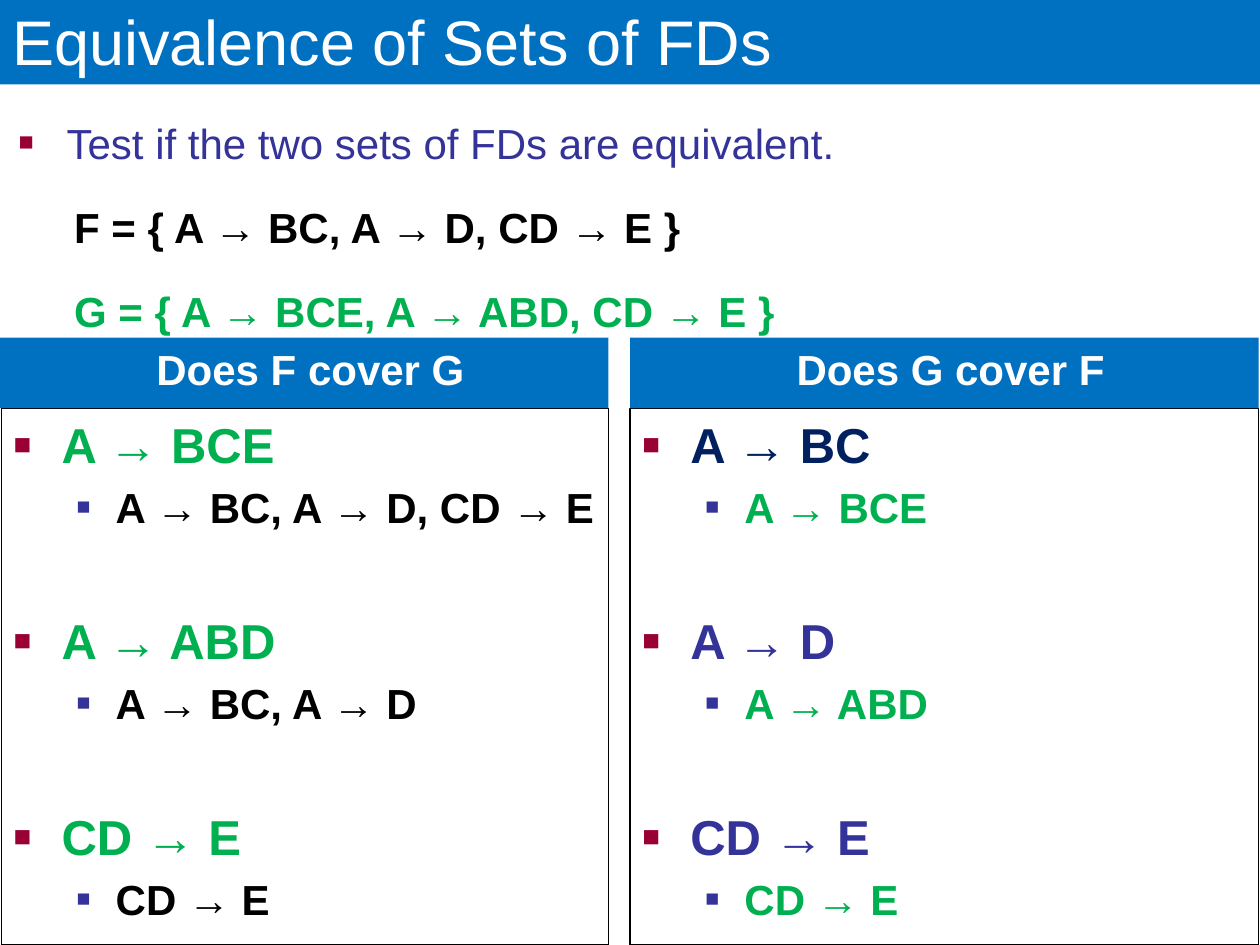
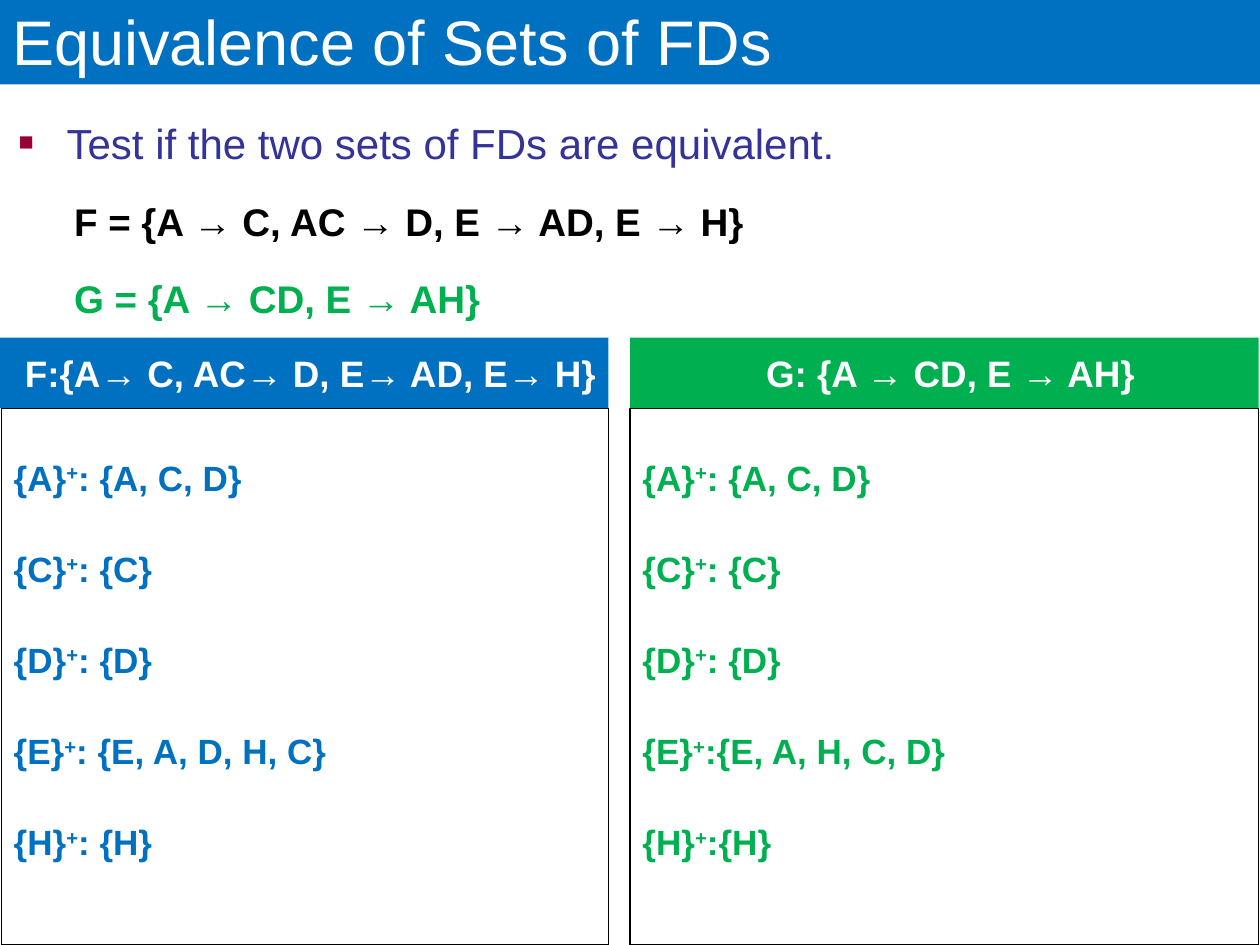
from dataclasses import dataclass

from lxml import etree
from pptx import Presentation
from pptx.dml.color import RGBColor
from pptx.enum.shapes import MSO_SHAPE as Preset
from pptx.enum.text import MSO_ANCHOR as Anchor, PP_ALIGN as Align
from pptx.oxml.ns import qn
from pptx.util import Inches, Pt

BLUE = RGBColor(0x00, 0x70, 0xC0)
GREEN = RGBColor(0x00, 0xB0, 0x50)
INDIGO = RGBColor(0x33, 0x33, 0x99)
NAVY = RGBColor(0x00, 0x20, 0x60)
CRIMSON = RGBColor(0x99, 0x00, 0x33)
BLACK = RGBColor(0x00, 0x00, 0x00)
WHITE = RGBColor(0xFF, 0xFF, 0xFF)

FONT = "Arial"
SPACE_RATIO = 0.2
GROUP_GAP = 44.8


@dataclass
class Box:
    """A rectangle in inches."""
    left: float
    top: float
    width: float
    height: float

    def lengths(self):
        """Return the four sides as lengths."""
        return [Inches(n) for n in (self.left, self.top, self.width, self.height)]


TITLE_BOX = Box(0, 0, 10, 0.67)
QUESTION_BOX = Box(0.05, 0.68, 9.88, 1.89)
COLUMN_BOXES = [Box(0, 2.68, 4.83, 4.82), Box(5, 2.68, 4.99, 4.82)]
HEADER_HEIGHT = 0.56


def set_up_frame(shape, anchor, right_inset=0.0):
    """Prepare the text frame of a shape and return it."""
    frame = shape.text_frame
    frame.word_wrap = True
    frame.vertical_anchor = anchor
    frame.margin_right = Inches(right_inset)
    return frame


def add_rectangle(slide, box, fill=None, line=None):
    """Add a flat rectangle with an optional fill and outline."""
    shape = slide.shapes.add_shape(Preset.RECTANGLE, *box.lengths())
    shape.shadow.inherit = False
    if fill is None:
        shape.fill.background()
    else:
        shape.fill.solid()
        shape.fill.fore_color.rgb = fill
    if line is None:
        shape.line.fill.background()
    else:
        shape.line.color.rgb = line
        shape.line.width = Pt(0.75)
    return shape


def add_paragraph(frame, size, color, bold=True, align=Align.LEFT, spacing=1.0, before=None):
    """Add an empty styled paragraph, using the first one if it is free."""
    first = frame.paragraphs[0]
    is_free = len(frame.paragraphs) == 1 and not first.runs
    paragraph = first if is_free else frame.add_paragraph()
    paragraph.alignment = align
    paragraph.line_spacing = spacing
    paragraph.space_before = Pt(size * SPACE_RATIO if before is None else before)
    font = paragraph.font
    font.name, font.size, font.bold = FONT, Pt(size), bold
    font.color.rgb = color
    return paragraph


def add_text(frame, text, size, color, **style):
    """Add a paragraph holding one run."""
    paragraph = add_paragraph(frame, size, color, **style)
    paragraph.add_run().text = text
    return paragraph


def set_indent(paragraph, left, first=0.0, level=0):
    """Set the level and the indents of a paragraph."""
    paragraph.level = level
    properties = paragraph._p.get_or_add_pPr()
    properties.set("marL", str(Inches(left)))
    properties.set("indent", str(Inches(first)))
    return properties


def add_bullet(paragraph, level=0):
    """Give a paragraph the square bullet of its level."""
    left, first, color, percent = [(0.38, -0.38, CRIMSON, 60), (0.81, -0.31, INDIGO, 55)][level]
    properties = set_indent(paragraph, left, first, level)
    bullet_color = etree.Element(qn("a:buClr"))
    etree.SubElement(bullet_color, qn("a:srgbClr"), val=str(color))
    parts = [
        bullet_color,
        etree.Element(qn("a:buSzPct"), val=str(percent * 1000)),
        etree.Element(qn("a:buFont"), typeface=FONT),
        etree.Element(qn("a:buChar"), char="■"),
    ]
    defaults = properties.find(qn("a:defRPr"))
    for part in parts:
        defaults.addprevious(part)


def add_title(slide, box):
    """Add the title band."""
    frame = set_up_frame(add_rectangle(slide, box, BLUE), Anchor.BOTTOM, 0.1)
    add_text(frame, "Equivalence of Sets of FDs", 36, WHITE, bold=False, before=0)


def add_question(slide, box, set_f, set_g, size):
    """Add the question and the two sets of dependencies."""
    frame = set_up_frame(slide.shapes.add_textbox(*box.lengths()), Anchor.TOP)
    question = "Test if the two sets of FDs are equivalent."
    add_bullet(add_text(frame, question, 24, INDIGO, bold=False, spacing=1.5))
    for text, color in [(set_f, BLACK), (set_g, GREEN)]:
        set_indent(add_text(frame, text, size, color, spacing=1.5), 0.44, level=1)


def add_column(slide, box, header, size, fill, anchor):
    """Add an outlined column under a header band and return its text frame."""
    outline = Box(max(box.left, 0.01), box.top + HEADER_HEIGHT,
                  box.width, box.height - HEADER_HEIGHT)
    outline.width -= outline.left - box.left
    body = add_rectangle(slide, outline, line=BLACK)
    band = add_rectangle(slide, Box(box.left, box.top, box.width, HEADER_HEIGHT), fill)
    add_text(set_up_frame(band, anchor), header, size, WHITE, align=Align.CENTER)
    return set_up_frame(body, Anchor.TOP)


def fill_cover_list(frame, groups, head_colors, detail_color):
    """List each dependency with those that imply it below."""
    for index, ((head, detail), color) in enumerate(zip(groups, head_colors)):
        before = GROUP_GAP if index else None
        add_bullet(add_text(frame, head, 28, color, before=before))
        add_bullet(add_text(frame, detail, 24, detail_color), level=1)


def fill_closures(frame, closures, color):
    """List attribute closures with a raised plus sign."""
    for attribute, closure in closures:
        paragraph = add_paragraph(frame, 20, color, spacing=2.0)
        paragraph.add_run().text = f"{{{attribute}}}"
        plus = paragraph.add_run()
        plus.text = "+"
        plus.font._element.set("baseline", "30000")
        paragraph.add_run().text = closure


def start_slide(presentation, set_f, set_g, size):
    """Add a slide with its title and question."""
    slide = presentation.slides.add_slide(presentation.slide_layouts[6])
    add_title(slide, TITLE_BOX)
    add_question(slide, QUESTION_BOX, set_f, set_g, size)
    return slide


def build_cover_slide(presentation):
    """Build the slide that tests whether each set covers the other."""
    slide = start_slide(presentation, "F = { A → BC, A → D, CD → E }",
                        "G = { A → BCE, A → ABD, CD → E }", 24)
    f_covers_g = [("A → BCE", "A → BC, A → D, CD → E"),
                  ("A → ABD", "A → BC, A → D"), ("CD → E", "CD → E")]
    g_covers_f = [("A → BC", "A → BCE"), ("A → D", "A → ABD"), ("CD → E", "CD → E")]
    columns = [("Does F cover G", f_covers_g, [GREEN] * 3, BLACK),
               ("Does G cover F", g_covers_f, [NAVY, INDIGO, INDIGO], GREEN)]
    for box, (header, groups, head_colors, detail_color) in zip(COLUMN_BOXES, columns):
        frame = add_column(slide, box, header, 24, BLUE, Anchor.TOP)
        fill_cover_list(frame, groups, head_colors, detail_color)


def build_closure_slide(presentation):
    """Build the slide that compares attribute closures."""
    slide = start_slide(presentation, "F = {A → C, AC → D, E → AD, E → H}",
                        "G = {A → CD, E → AH}", 22)
    shared = [("A", ": {A, C, D}"), ("C", ": {C}"), ("D", ": {D}")]
    columns = [
        ("F:{A→ C, AC→ D, E→ AD, E→ H}", BLUE, [("E", ": {E, A, D, H, C}"), ("H", ": {H}")]),
        ("G: {A → CD, E → AH}", GREEN, [("E", ":{E, A, H, C, D}"), ("H", ":{H}")]),
    ]
    for box, (header, color, closures) in zip(COLUMN_BOXES, columns):
        frame = add_column(slide, box, header, 21, color, Anchor.MIDDLE)
        fill_closures(frame, shared + closures, color)


def main():
    """Build and save the presentation."""
    presentation = Presentation()
    presentation.slide_width, presentation.slide_height = Inches(10), Inches(7.5)
    build_cover_slide(presentation)
    build_closure_slide(presentation)
    presentation.save("out.pptx")


if __name__ == "__main__":
    main()
